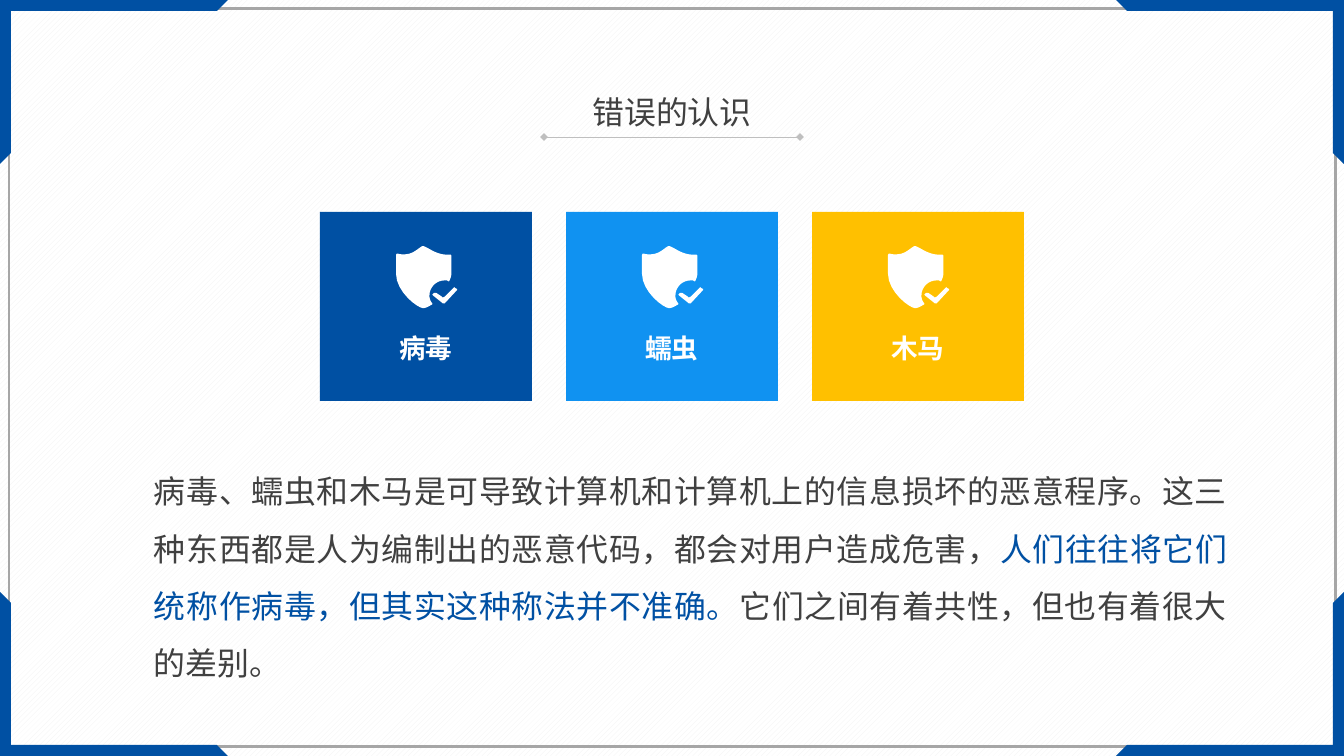
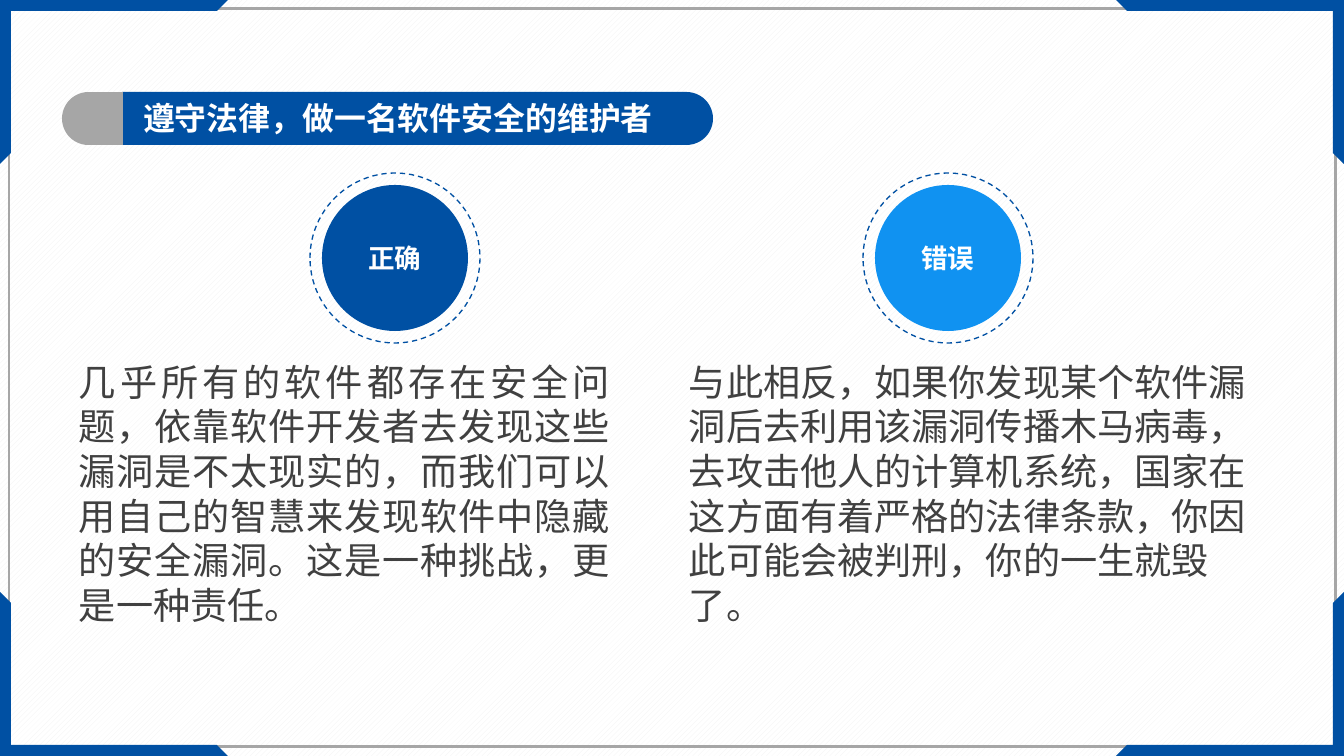
from dataclasses import dataclass
from itertools import product

from lxml.etree import SubElement
from pptx import Presentation
from pptx.dml.color import RGBColor as RGB
from pptx.enum.dml import MSO_LINE as Dash, MSO_PATTERN as Pattern
from pptx.enum.shapes import MSO_CONNECTOR as Link, MSO_SHAPE as Kind
from pptx.enum.text import MSO_ANCHOR as Anchor, MSO_AUTO_SIZE as Fit, PP_ALIGN as Align
from pptx.oxml.ns import qn
from pptx.util import Pt

SCALE = 9566  # EMU in one px
WIDE, HIGH = 1344, 756
ICON_UNIT = 914.4  # EMU in a thousandth of an inch


@dataclass(frozen=True)
class Theme:
    navy: str = "0050A3"
    sky: str = "1092F1"
    gold: str = "FFC000"
    gray: str = "A6A6A6"
    pale: str = "BFBFBF"
    ink: str = "404040"
    white: str = "FFFFFF"
    weave: str = "F2F2F2"
    sans: str = "Noto Sans CJK SC"
    serif: str = "Times New Roman"
    label: int = 20
    head: int = 24
    large: int = 28


T = Theme()


@dataclass(frozen=True)
class Style:
    size: int
    color: str = T.ink
    bold: bool = False
    align: Align = Align.LEFT
    gap: float = 1.0
    face: str = T.sans


@dataclass(frozen=True)
class Box:
    x: float
    y: float
    w: float
    h: float


@dataclass(frozen=True)
class Card:
    name: str
    fill: str


@dataclass(frozen=True)
class Side:
    name: str
    fill: str
    mid: int
    box: Box
    align: Align
    text: str


LABEL = Style(T.label, T.white, True, Align.CENTER)

CARDS = [Card("病毒", T.navy), Card("蠕虫", T.sky), Card("木马", T.gold)]

STORY = [
    ("病毒、蠕虫和木马是可导致计算机和计算机上的信息损坏的恶意程序。"
     "这三种东西都是人为编制出的恶意代码，都会对用户造成危害，", T.ink),
    ("人们往往将它们统称作病毒，但其实这种称法并不准确。", T.navy),
    ("它们之间有着共性，但也有着很大的差别。", T.ink),
]

SIDES = [
    Side("正确", T.navy, 395, Box(69, 354, 551, 279), Align.JUSTIFY,
         "几乎所有的软件都存在安全问题，依靠软件开发者去发现这些漏洞是不太现实的，"
         "而我们可以用自己的智慧来发现软件中隐藏的安全漏洞。这是一种挑战，更是一种责任。"),
    Side("错误", T.sky, 948, Box(679, 354, 602, 234), Align.LEFT,
         "与此相反，如果你发现某个软件漏洞后去利用该漏洞传播木马病毒，"
         "去攻击他人的计算机系统，国家在这方面有着严格的法律条款，"
         "你因此可能会被判刑，你的一生就毁了。"),
]

# Icon outlines in hundredths of an inch; each shield row is one cubic curve.
SHIELD_START = (35, 52)
SHIELD = [
    ((35, 43), (42, 36), (51, 36)),
    ((53, 36), (54, 36), (55, 37)),
    ((56, 37), (56, 36), (56, 36)),
    ((57, 34), (58, 31), (58, 29)),
    ((58, 29), (58, 11), (58, 11)),
    ((58, 9), (57, 9), (56, 9)),
    ((53, 9), (49, 9), (46, 8)),
    ((38, 6), (31, 0), (28, 0)),
    ((26, 0), (21, 6), (14, 8)),
    ((10, 9), (5, 9), (2, 8)),
    ((1, 8), (0, 8), (0, 10)),
    ((0, 10), (0, 29), (0, 29)),
    ((0, 48), (23, 65), (28, 65)),
    ((31, 65), (33, 64), (38, 61)),
    ((38, 60), (38, 60), (38, 60)),
    ((36, 58), (35, 55), (35, 52)),
]
TICK = [(51, 60), (49, 60), (39, 52), (38, 51), (40, 49), (42, 49),
        (48, 53), (49, 54), (51, 53), (60, 44), (61, 43), (62, 44),
        (64, 45), (64, 46)]


def px(size: float) -> int:
    return round(size * SCALE)


def place(box: Box) -> tuple:
    return px(box.x), px(box.y), px(box.w), px(box.h)


def paint(shape, fill: str = "", line: str = "", width: float = 1):
    """Give a shape a plain fill and line, and no shadow."""
    shape.shadow.inherit = False
    if fill:
        shape.fill.solid()
        shape.fill.fore_color.rgb = RGB.from_string(fill)
    else:
        shape.fill.background()
    if line:
        shape.line.color.rgb = RGB.from_string(line)
        shape.line.width = Pt(width)
    else:
        shape.line.fill.background()
    return shape


def draw(slide, kind: Kind, box: Box, fill: str = "", line: str = "", width: float = 1):
    return paint(slide.shapes.add_shape(kind, *place(box)), fill, line, width)


def trace(slide, dots: list, fill: str, unit: float = SCALE, x: int = 0, y: int = 0):
    """Draw a closed outline whose origin is at x, y px."""
    pen = slide.shapes.build_freeform(*dots[0], scale=unit)
    pen.add_line_segments(dots[1:], close=True)
    return paint(pen.convert_to_shape(px(x), px(y)), fill)


def write(shape, runs: list, style: Style, anchor: Anchor = Anchor.TOP, side: int = 10) -> None:
    """Fill a shape with one paragraph of (text, colour) runs."""
    frame = shape.text_frame
    frame.word_wrap = True
    frame.auto_size = Fit.NONE
    frame.vertical_anchor = anchor
    frame.margin_left = frame.margin_right = px(side)
    frame.margin_top = frame.margin_bottom = px(5)
    para = frame.paragraphs[0]
    para.alignment = style.align
    para.line_spacing = style.gap
    font = para.font
    font.size = Pt(style.size)
    font.bold = style.bold
    font.color.rgb = RGB.from_string(style.color)
    font.name = style.face
    props = para._p.get_or_add_pPr()
    props.set("hangingPunct", "0")
    SubElement(props.find(qn("a:defRPr")), qn("a:ea")).set("typeface", T.sans)
    for text, color in runs:
        run = para.add_run()
        run.text = text
        if color != style.color:
            run.font.color.rgb = RGB.from_string(color)


def note(slide, box: Box, runs: list, style: Style) -> None:
    write(slide.shapes.add_textbox(*place(box)), runs, style)


def head(slide, box: Box, text: str, style: Style, side: int = 10) -> None:
    """Move the title placeholder into place, in front of what is drawn so far."""
    title = slide.shapes.title
    title.left, title.top, title.width, title.height = place(box)
    write(title, [(text, style.color)], style, Anchor.MIDDLE, side)
    slide.shapes.element.append(title.element)


def frame(deck, slide) -> None:
    """Set the shared background and border on the slide master."""
    master = deck.slide_master
    fill = master.background.fill
    fill.patterned()
    fill.pattern = Pattern.WIDE_UPWARD_DIAGONAL
    fill.fore_color.rgb = RGB.from_string(T.weave)
    fill.back_color.rgb = RGB.from_string(T.white)
    parts = [draw(slide, Kind.RECTANGLE, Box(9, 9, WIDE - 17, HIGH - 18),
                  line=T.gray, width=2.25)]
    corner = [(0, 0), (228, 0), (217, 11), (11, 11), (11, 153), (0, 164)]
    for right, low in product((False, True), repeat=2):
        dots = [(WIDE - x if right else x, HIGH - y if low else y) for x, y in corner]
        parts.append(trace(slide, dots, T.navy))
    for num, part in enumerate(parts, 20):
        part.element.nvSpPr.cNvPr.set("id", str(num))
        master.shapes.element.append(part.element)


def curve(start: tuple, rows: list, steps: int = 8) -> list:
    """Turn cubic curves into points, ten to the unit."""
    dots, a = [], start
    for b, c, d in rows:
        for step in range(steps):
            t = step / steps
            u = 1 - t
            dots.append(tuple(
                10 * (u**3 * p + 3 * u * u * t * q + 3 * u * t * t * r + t**3 * s)
                for p, q, r, s in zip(a, b, c, d)))
        a = d
    return dots


def rule(slide, x: int, y: int, end: int) -> None:
    """Draw a thin line with a diamond at each end."""
    link = slide.shapes.add_connector(Link.STRAIGHT, px(x), px(y), px(end), px(y))
    link.line.color.rgb = RGB.from_string(T.pale)
    link.line.width = Pt(0.5)
    line = link.line._get_or_add_ln()
    for tag in ("a:headEnd", "a:tailEnd"):
        SubElement(line, qn(tag)).set("type", "diamond")
    SubElement(link._element.spPr, qn("a:effectLst"))


def cap(slide, box: Box, turn: int, fill: str) -> None:
    """Draw a bar with one round end: right at 90 degrees, left at 270."""
    shift = (box.w - box.h) / 2
    bar = draw(slide, Kind.ROUND_2_SAME_RECTANGLE,
               Box(box.x + shift, box.y - shift, box.h, box.w), fill)
    bar.adjustments[0] = 0.5
    bar.adjustments[1] = 0
    bar.rotation = turn


def tile(slide, card: Card, x: int) -> None:
    draw(slide, Kind.RECTANGLE, Box(x, 212, 212, 189), card.fill)
    tick = [(10 * a, 10 * b) for a, b in TICK]
    for dots in (curve(SHIELD_START, SHIELD), tick):
        trace(slide, dots, T.white, ICON_UNIT, x + 76, 246)
    note(slide, Box(x, 327, 212, 48), [(card.name, T.white)], LABEL)


def myths(slide) -> None:
    rule(slide, 544, 137, 800)
    head(slide, Box(544, 88, 256, 48), "错误的认识", Style(T.head, align=Align.CENTER))
    for num, card in enumerate(CARDS):
        tile(slide, card, 320 + 246 * num)
    note(slide, Box(144, 448, 1093, 234), STORY, Style(T.head, align=Align.JUSTIFY, gap=1.5))


def disc(slide, mid: int, size: int, **look):
    return draw(slide, Kind.OVAL, Box(mid - size // 2, 258 - size // 2, size, size), **look)


def law(slide) -> None:
    cap(slide, Box(122, 92, 591, 53), 90, T.navy)
    cap(slide, Box(62, 92, 61, 53), 270, T.gray)
    head(slide, Box(129, 91, 551, 53), "遵守法律，做一名软件安全的维护者",
         Style(T.head, T.white, True, face=T.serif), 14)
    for part in SIDES:
        ring = disc(slide, part.mid, 170, line=T.navy)
        ring.line.dash_style = Dash.DASH
        write(disc(slide, part.mid, 146, fill=part.fill), [(part.name, T.white)],
              LABEL, Anchor.MIDDLE)
        note(slide, part.box, [(part.text, T.ink)], Style(T.large, align=part.align))


def main() -> None:
    deck = Presentation()
    deck.slide_width, deck.slide_height = px(WIDE), px(HIGH)
    first, second = (deck.slides.add_slide(deck.slide_layouts[5]) for _ in range(2))
    frame(deck, first)
    myths(first)
    law(second)
    deck.save("out.pptx")


if __name__ == "__main__":
    main()
